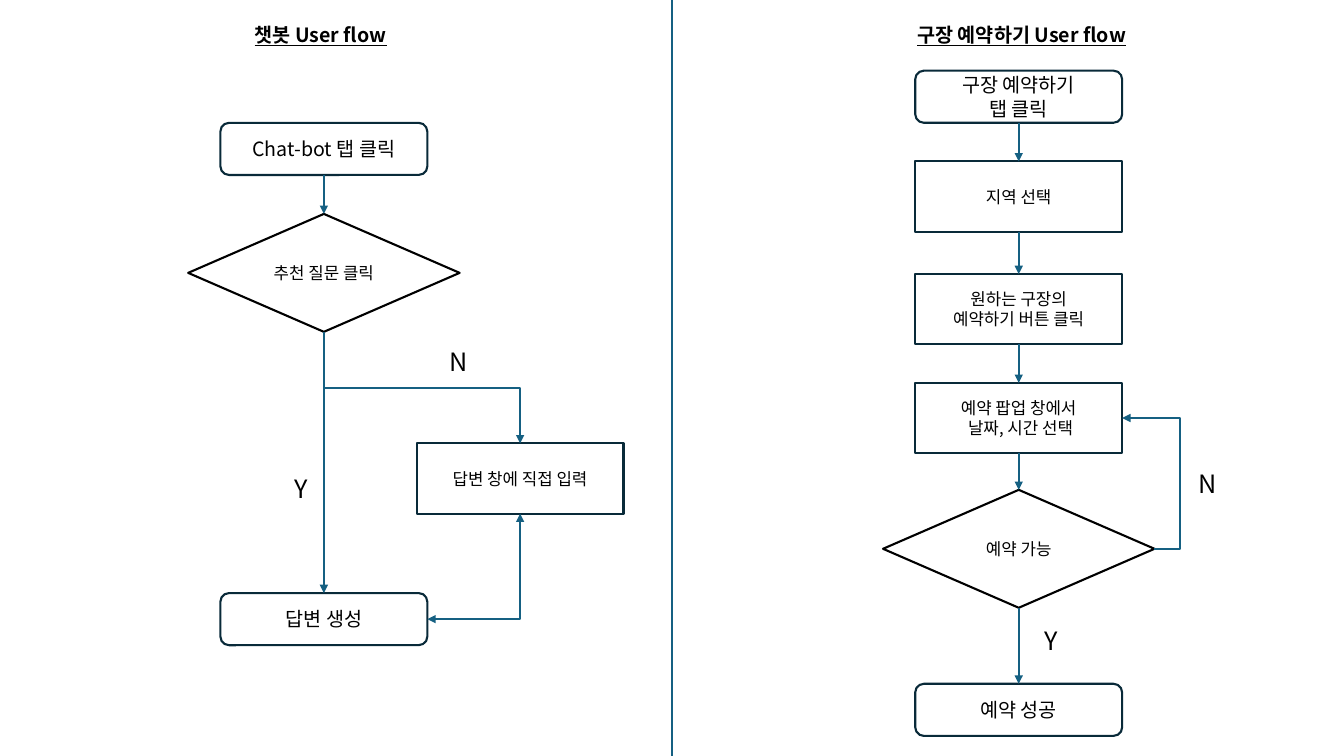
from lxml.etree import SubElement
from pptx import Presentation
from pptx.dml.color import RGBColor
from pptx.enum.shapes import MSO_CONNECTOR, MSO_SHAPE
from pptx.enum.text import MSO_ANCHOR, MSO_AUTO_SIZE, PP_ALIGN
from pptx.oxml.ns import qn
from pptx.util import Inches, Pt

BLACK = RGBColor(0x00, 0x00, 0x00)
WHITE = RGBColor(0xFF, 0xFF, 0xFF)
NAVY = RGBColor(0x09, 0x2A, 0x39)
TEAL = RGBColor(0x15, 0x60, 0x82)
FONT = "Noto Sans CJK KR"
WIDE, HIGH = Inches(13.33), Inches(7.5)
COL, ROW = WIDE / 100, HIGH / 100
TOP, LEFT, BOTTOM, RIGHT = range(4)

# Node kinds: preset shape, columns, rows, text size, outline
ENDING = (MSO_SHAPE.ROUNDED_RECTANGLE, 15.4, 6.9, 14, NAVY)
STEP = (MSO_SHAPE.RECTANGLE, 15.4, 9.3, 12, NAVY)
CHOICE = (MSO_SHAPE.FLOWCHART_DECISION, 20.2, 15.6, 12, BLACK)


def write(shape, text, size, align=PP_ALIGN.LEFT, anchor=MSO_ANCHOR.TOP, head=False):
    frame = shape.text_frame
    frame.text = text
    frame.word_wrap = True
    frame.auto_size = MSO_AUTO_SIZE.NONE
    frame.vertical_anchor = anchor
    for para in frame.paragraphs:
        para.alignment = align
        para.space_before = Pt(0)
        for run in para.runs:
            font = run.font
            font.size, font.name = Pt(size), FONT
            font.bold = font.underline = head
            font.color.rgb = BLACK
            SubElement(font._element, qn("a:ea"), typeface=FONT)


def place(shape, box, x, y, cols, rows):
    """Set a shape at a grid cell counted from the box corner."""
    shape.left, shape.top = int(box[0] + x * COL), int(box[1] + y * ROW)
    shape.width, shape.height = int(cols * COL), int(rows * ROW)


def add_head(shape, box, x, text):
    place(shape, box, x, 2.4, 25.7, 4.5)
    write(shape, text, 14, head=True)


def add_node(slide, box, kind, x, y, text):
    """Draw a node centred on column x and row y of the box."""
    form, cols, rows, size, edge = kind
    node = slide.shapes.add_shape(form, 0, 0, 0, 0)
    place(node, box, x - cols / 2, y - rows / 2, cols, rows)
    node.shadow.inherit = False
    if kind is CHOICE:
        node.fill.solid()
        node.fill.fore_color.rgb = WHITE
    else:
        node.fill.background()
    node.line.color.rgb = edge
    node.line.width = Pt(1.5)
    write(node, text, size, PP_ALIGN.CENTER, MSO_ANCHOR.MIDDLE)
    return node


def add_label(slide, box, x, y, text):
    label = slide.shapes.add_textbox(0, 0, 0, 0)
    place(label, box, x, y, 4, 5.3)
    write(label, text, 18)


def add_line(slide, form, start, end, tips=()):
    line = slide.shapes.add_connector(form, *map(int, start + end))
    line.line.color.rgb = TEAL
    line.line.width = Pt(1.5)
    props = line._element.spPr
    for tip in tips:
        SubElement(props.find(qn("a:ln")), qn("a:" + tip), type="triangle")
    SubElement(props, qn("a:effectLst"))
    return line


def link(slide, *nodes):
    """Join each node to the next one below it with an arrow."""
    for upper, lower in zip(nodes, nodes[1:]):
        line = add_line(slide, MSO_CONNECTOR.STRAIGHT, side(upper, BOTTOM),
                        side(lower, TOP), ["tailEnd"])
        line.begin_connect(upper, BOTTOM)
        line.end_connect(lower, TOP)


def side(node, edge):
    """Return the middle of one edge of a node."""
    across = {LEFT: 0, RIGHT: 1}.get(edge, 0.5)
    down = {TOP: 0, BOTTOM: 1}.get(edge, 0.5)
    return node.left + across * node.width, node.top + down * node.height


def bend_down(slide, start, end):
    """Go down, across and down again: an elbow turned by 270 degrees."""
    midx, midy = (start[0] + end[0]) / 2, (start[1] + end[1]) / 2
    dx, dy = (end[0] - start[0]) / 2, (end[1] - start[1]) / 2
    line = add_line(slide, MSO_CONNECTOR.ELBOW, (midx + dy, midy - dx),
                    (midx - dy, midy + dx), ["tailEnd"])
    line._element.spPr.find(qn("a:xfrm")).set("rot", str(270 * 60000))


def bend_once(slide, start, end):
    """Go across, then up, with an arrowhead at both ends."""
    line = add_line(slide, MSO_CONNECTOR.ELBOW, start, end, ["headEnd", "tailEnd"])
    line._element.spPr.find(qn("a:prstGeom")).set("prst", "bentConnector2")


def bend_back(slide, start, end, reach):
    """Go out to the right by reach, then up and back."""
    line = add_line(slide, MSO_CONNECTOR.ELBOW, start, end, ["tailEnd"])
    turn = round(100000 * reach / (end[0] - start[0]))
    shape = line._element.spPr.find(qn("a:prstGeom"))
    guides = shape.find(qn("a:avLst"))
    if guides is None:
        guides = SubElement(shape, qn("a:avLst"))
    SubElement(guides, qn("a:gd"), name="adj1", fmla=f"val {turn}")


def draw_chat(slide, box):
    add_head(slide.shapes.title, box, 18.2, "챗봇 User flow")
    mid = 24.1
    start = add_node(slide, box, ENDING, mid, 19.7, "Chat-bot 탭 클릭")
    choice = add_node(slide, box, CHOICE, mid, 36.1, "추천 질문 클릭")
    typed = add_node(slide, box, STEP, 38.7, 63.3, "답변 창에 직접 입력")
    answer = add_node(slide, box, ENDING, mid, 81.9, "답변 생성")
    link(slide, start, choice, answer)
    bend_down(slide, side(choice, BOTTOM), side(typed, TOP))
    bend_once(slide, side(answer, RIGHT), side(typed, BOTTOM))
    add_label(slide, box, 21.2, 61.9, "Y")
    add_label(slide, box, 32.7, 45.2, "N")


def draw_booking(slide, box):
    add_head(slide.placeholders[1], box, 17.5, "구장 예약하기 User flow")
    steps = [
        (ENDING, 12.8, "구장 예약하기\n탭 클릭"),
        (STEP, 26, "지역 선택"),
        (STEP, 40.9, "원하는 구장의\n예약하기 버튼 클릭"),
        (STEP, 55.3, "예약 팝업 창에서\n 날짜, 시간 선택"),
        (CHOICE, 72.6, "예약 가능"),
        (ENDING, 93.9, "예약 성공"),
    ]
    nodes = [add_node(slide, box, kind, 25.8, y, text) for kind, y, text in steps]
    link(slide, *nodes)
    popup, choice = nodes[3:5]
    bend_back(slide, side(choice, RIGHT), side(popup, RIGHT), 1.9 * COL)
    add_label(slide, box, 27, 82, "Y")
    add_label(slide, box, 38.4, 61.3, "N")


def main():
    deck = Presentation()
    deck.slide_width, deck.slide_height = WIDE, HIGH
    slide = deck.slides.add_slide(deck.slide_layouts[4])
    draw_chat(slide, (0, 0))
    draw_booking(slide, (WIDE / 2, 0))
    add_line(slide, MSO_CONNECTOR.STRAIGHT, (WIDE / 2, 0), (WIDE / 2, HIGH))
    for holder in list(slide.placeholders):
        if not holder.text_frame.text:
            holder._element.getparent().remove(holder._element)
    deck.save("out.pptx")


if __name__ == "__main__":
    main()
